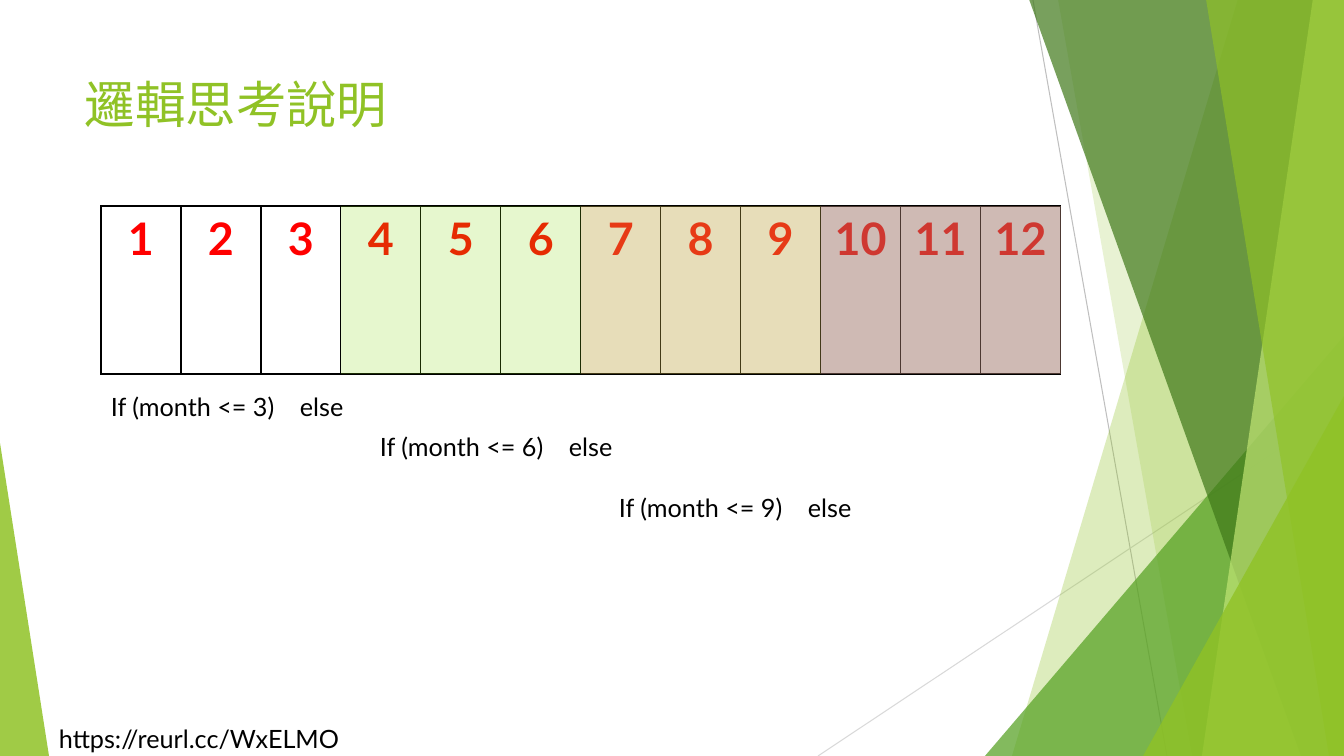
"""Build the slide that splits twelve months into quarters with nested ifs."""
from lxml import etree
from pptx import Presentation
from pptx.dml.color import RGBColor
from pptx.enum.shapes import MSO_CONNECTOR, MSO_SHAPE
from pptx.enum.text import MSO_AUTO_SIZE, PP_ALIGN
from pptx.oxml.ns import qn
from pptx.util import Pt

PX = 914400 / 100.8
WIDTH, HEIGHT = 1344, 756
FONT = "Lato"
STRAIGHT = MSO_CONNECTOR.STRAIGHT
RECTANGLE = MSO_SHAPE.RECTANGLE
TRIANGLE = MSO_SHAPE.ISOSCELES_TRIANGLE
CENTER = PP_ALIGN.CENTER
FIT_TEXT = MSO_AUTO_SIZE.SHAPE_TO_FIT_TEXT

BLACK = RGBColor(0x00, 0x00, 0x00)
WHITE = RGBColor(0xFF, 0xFF, 0xFF)
RED = RGBColor(0xFF, 0x00, 0x00)
GRAY = RGBColor(0xBF, 0xBF, 0xBF)
LIGHT_GRAY = RGBColor(0xD9, 0xD9, 0xD9)
LIME = RGBColor(0x90, 0xC2, 0x26)
PALE_LIME = RGBColor(0xC0, 0xE4, 0x74)
GREEN = RGBColor(0x54, 0xA0, 0x21)
DARK_GREEN = RGBColor(0x3F, 0x78, 0x19)
BRIGHT_GREEN = RGBColor(0x83, 0xDA, 0x0E)
CORAL = RGBColor(0xEB, 0x77, 0x66)
PURPLE = RGBColor(0x70, 0x30, 0xA0)

MONTHS = 12
ROW_LEFT, ROW_TOP, ROW_HEIGHT, MONTH_WIDTH = 101, 206, 168, 80
ELSE_TAB = 189


def emu(*lengths):
    """Turn px lengths into EMU."""
    return [round(n * PX) for n in lengths]


def paint(sp, color, opacity):
    """Give a shape a translucent fill with no line or shadow."""
    sp.shadow.inherit = False
    sp.line.fill.background()
    sp.fill.solid()
    sp.fill.fore_color.rgb = color
    clr = sp.fill._xPr.find(qn("a:solidFill"))[0]
    etree.SubElement(clr, qn("a:alpha")).set("val", str(opacity * 1000))


def add_line(s, start, end, color):
    """Draw a thin straight line."""
    line = s.shapes.add_connector(STRAIGHT, *emu(*start, *end))
    line.line.color.rgb = color
    line.line.width = Pt(0.75)
    etree.SubElement(line._element.spPr, qn("a:effectLst"))


def add_band(s, top_x, bottom_x, color, opacity):
    """Fill the area from a slanted edge to the right side of the slide."""
    builder = s.shapes.build_freeform(top_x, -1, scale=PX)
    builder.add_line_segments([(WIDTH, -1), (WIDTH, HEIGHT), (bottom_x, HEIGHT)])
    paint(builder.convert_to_shape(), color, opacity)


def add_block(s, kind, box, color, opacity, apex=None):
    """Add a translucent preset shape, with an apex position for triangles."""
    sp = s.shapes.add_shape(kind, *emu(*box))
    if apex is not None:
        sp.adjustments[0] = apex
    paint(sp, color, opacity)


def write(tf, text, size=18, color=BLACK, bold=False, align=None, tab=None):
    """Write one formatted paragraph into a text frame."""
    p = tf.paragraphs[0]
    if tab:
        tabs = etree.SubElement(p._p.get_or_add_pPr(), qn("a:tabLst"))
        etree.SubElement(tabs, qn("a:tab"), pos=str(emu(tab)[0]), algn="l")
    p.alignment = align
    r = p.add_run()
    r.text = text
    r.font.name = FONT
    r.font.size = Pt(size)
    r.font.bold = bold
    r.font.color.rgb = color


def add_text(s, box, text, wrap=True, fit=True, **fmt):
    """Add a text box."""
    tf = s.shapes.add_textbox(*emu(*box)).text_frame
    tf.word_wrap = wrap
    if fit:
        tf.auto_size = FIT_TEXT
    write(tf, text, **fmt)


def add_borders(cell):
    """Draw a black line on each side of a table cell."""
    tcPr = cell._tc.get_or_add_tcPr()
    for side in ("lnL", "lnR", "lnT", "lnB"):
        ln = etree.SubElement(tcPr, qn(f"a:{side}"), w=str(Pt(1)))
        fill = etree.SubElement(ln, qn("a:solidFill"))
        etree.SubElement(fill, qn("a:srgbClr"), val=str(BLACK))


def add_months(s):
    """Add the one-row table of months."""
    box = emu(ROW_LEFT, ROW_TOP, MONTHS * MONTH_WIDTH, ROW_HEIGHT)
    table = s.shapes.add_table(1, MONTHS, *box).table
    table.first_row = table.horz_banding = False
    for i, column in enumerate(table.columns):
        column.width = emu(MONTH_WIDTH)[0]
        cell = table.cell(0, i)
        add_borders(cell)
        cell.fill.solid()
        cell.fill.fore_color.rgb = WHITE
        write(cell.text_frame, str(i + 1), size=32, color=RED, bold=True, align=CENTER)


def add_backdrop(s):
    """Draw the green facets around the slide."""
    add_line(s, (1033, 0), (1167, HEIGHT), GRAY)
    add_line(s, (WIDTH, 406), (818, HEIGHT), LIGHT_GRAY)
    add_band(s, 1238, 1012, LIME, 30)
    add_band(s, 1058, 1192, LIME, 20)
    add_block(s, TRIANGLE, (985, 336, 359, 420), GREEN, 72, apex=1)
    add_band(s, 1029, 1301, DARK_GREEN, 70)
    add_band(s, 1313, 1202, PALE_LIME, 70)
    add_band(s, 1206, 1329, LIME, 65)
    add_block(s, TRIANGLE, (1143, 396, 201, 360), LIME, 80, apex=1)
    add_block(s, TRIANGLE, (0, 443, 49, 313), LIME, 85, apex=0)


def add_quarters(s):
    """Shade the months left after each test and write the test below."""
    steps = (
        (3, BRIGHT_GREEN, (101, 386, 267, 40), False),
        (6, CORAL, (370, 426, 319, 40), True),
        (9, PURPLE, (609, 487, 319, 40), True),
    )
    for last, color, box, wrap in steps:
        left = ROW_LEFT + last * MONTH_WIDTH
        width = (MONTHS - last) * MONTH_WIDTH
        add_block(s, RECTANGLE, (left, ROW_TOP, width, ROW_HEIGHT), color, 20)
        add_text(s, box, f"If (month <= {last})\telse", wrap=wrap, tab=ELSE_TAB)


def main():
    """Build and save the slide."""
    prs = Presentation()
    prs.slide_width, prs.slide_height = emu(WIDTH, HEIGHT)
    s = prs.slides.add_slide(prs.slide_layouts[6])
    add_backdrop(s)
    add_text(s, (49, 718, 315, 40), "https://reurl.cc/WxELMO", wrap=False)
    add_text(s, (75, 68, 948, 145), "邏輯思考說明", fit=False, size=36, color=LIME)
    add_months(s)
    add_quarters(s)
    prs.save("out.pptx")


if __name__ == "__main__":
    main()
